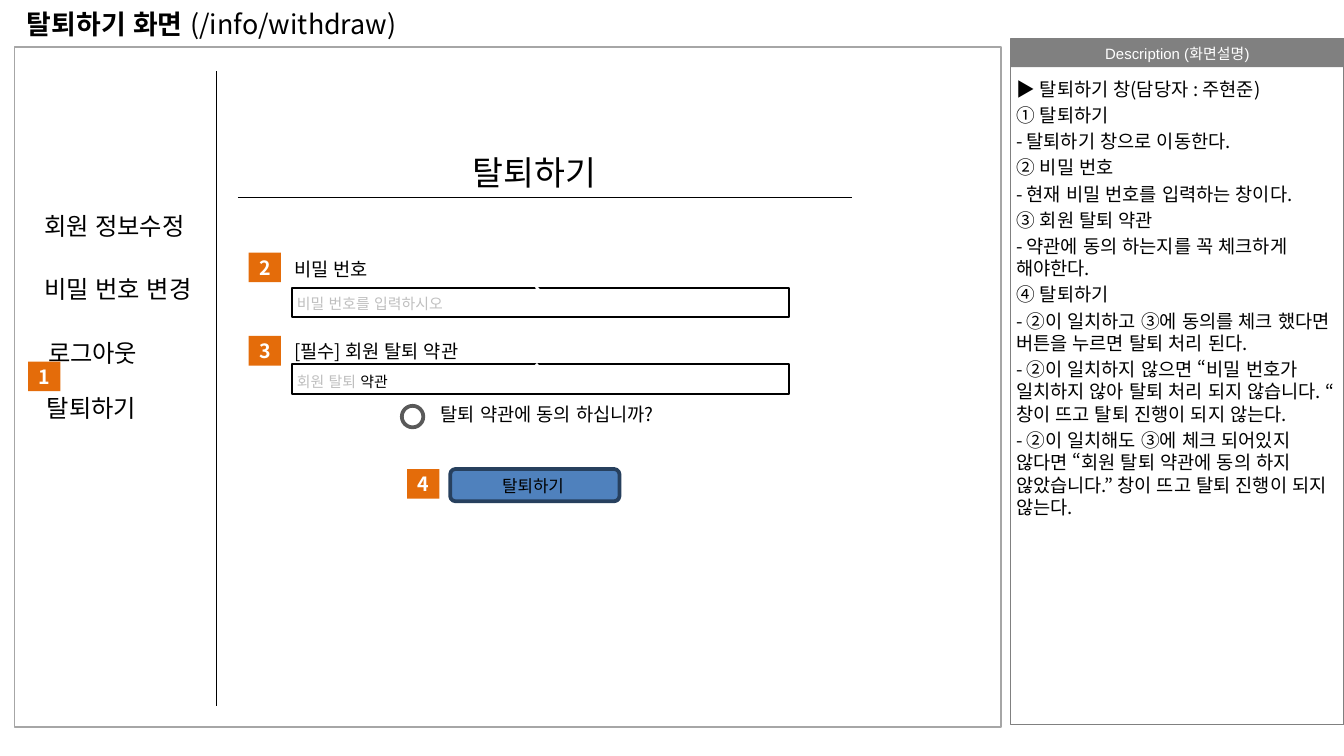
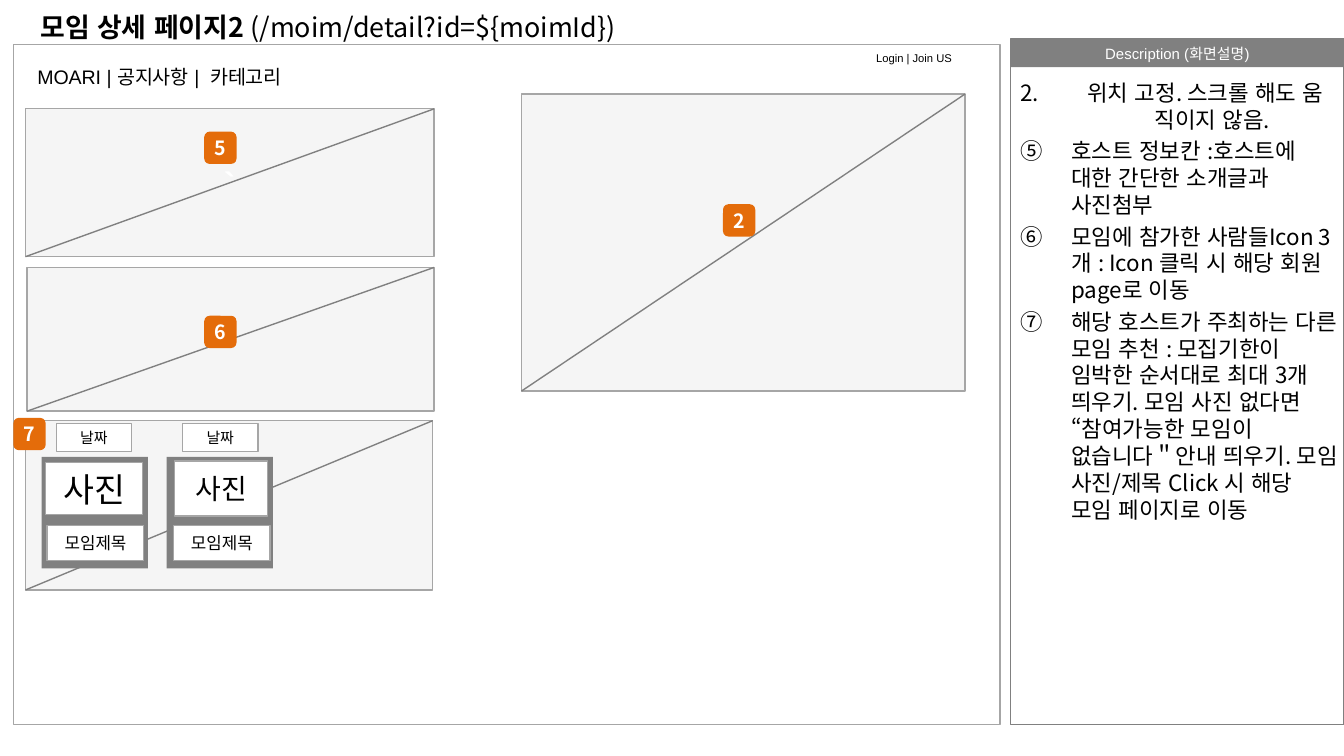
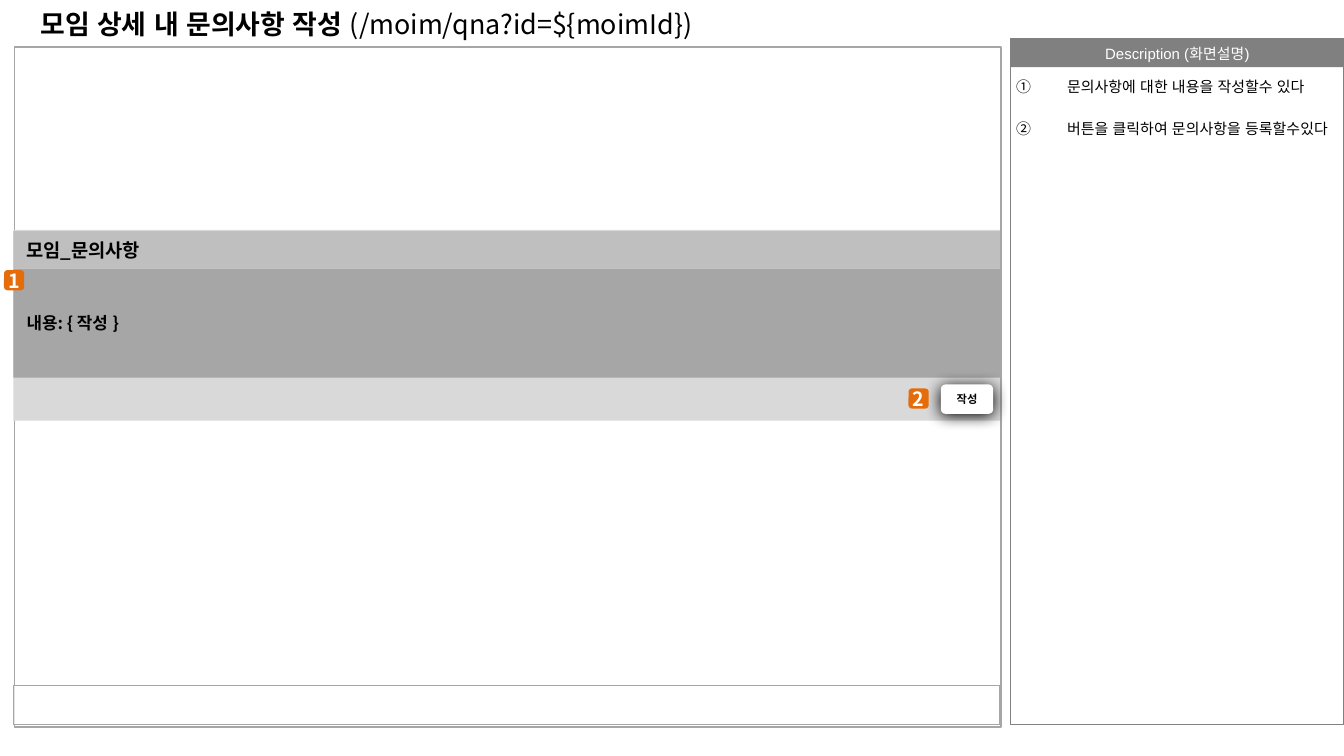
from dataclasses import dataclass

from lxml import etree
from pptx import Presentation
from pptx.dml.color import RGBColor
from pptx.enum import lang, shapes, text
from pptx.oxml.ns import qn
from pptx.util import Inches, Pt


@dataclass(frozen=True)
class Theme:
    font: str = "Noto Sans CJK KR"
    latin: str = "Arial"
    black: str = "000000"
    white: str = "FFFFFF"
    gray: str = "808080"
    border: str = "A6A6A6"
    silver: str = "BFBFBF"
    pale: str = "D9D9D9"
    panel: str = "F2F2F2"
    radio: str = "595959"
    badge: str = "E46C0A"
    button: str = "4F81BD"
    button_edge: str = "27405E"
    title: float = 14.4
    heading: float = 18
    photo: float = 15
    menu: float = 13
    note: float = 12
    badge_text: float = 10.5
    body: float = 10
    label: float = 9
    small: float = 8
    tiny: float = 6
    hairline: float = 0.75


THEME = Theme()
RECT = shapes.MSO_SHAPE.RECTANGLE
ROUND = shapes.MSO_SHAPE.ROUNDED_RECTANGLE
OVAL = shapes.MSO_SHAPE.OVAL
LEFT, CENTER = text.PP_ALIGN.LEFT, text.PP_ALIGN.CENTER
TOP, MIDDLE = text.MSO_ANCHOR.TOP, text.MSO_ANCHOR.MIDDLE
KOREAN = lang.MSO_LANGUAGE_ID.KOREAN
LINE_HEIGHT = 1.2
SLIDE_WIDTH = Inches(10)
SLIDE_HEIGHT = SLIDE_WIDTH * 9 // 16
FRAME_LEFT, FRAME_WIDTH, FRAME_HEIGHT = 0.1, 7.34, 5.06
DESCRIPTION_LEFT, DESCRIPTION_TOP, DESCRIPTION_WIDTH = 7.52, 0.29, 2.48


def rgb(color):
    return RGBColor.from_string(color)


def apply(target, **values):
    for name, value in values.items():
        setattr(target, name, value)


def inches(box):
    return [Inches(value) for value in box]


def child(parent, tag, **attributes):
    return etree.SubElement(parent, qn(tag), {key: str(value) for key, value in attributes.items()})


def add_run(paragraph, words, size, color=THEME.black, bold=False, font=THEME.font):
    run = paragraph.add_run()
    run.text = words
    apply(run.font, name=font, size=Pt(size), bold=bold, language_id=KOREAN)
    run.font.color.rgb = rgb(color)
    child(run._r.get_or_add_rPr(), "a:ea", typeface=THEME.font)


def set_frame(frame, anchor=TOP, insets=(0.1, 0.05, 0.1, 0.05)):
    sides = ("margin_left", "margin_top", "margin_right", "margin_bottom")
    apply(frame, word_wrap=True, auto_size=text.MSO_AUTO_SIZE.NONE, vertical_anchor=anchor,
          **dict(zip(sides, inches(insets))))


def set_spacing(paragraph, size, align=LEFT, before=0):
    apply(paragraph, alignment=align, line_spacing=Pt(size * LINE_HEIGHT), space_before=Pt(before))


def write(shape, words, size, align=CENTER, anchor=MIDDLE, insets=(0.1, 0.05, 0.1, 0.05), **style):
    set_frame(shape.text_frame, anchor, insets)
    paragraph = shape.text_frame.paragraphs[0]
    set_spacing(paragraph, size, align)
    add_run(paragraph, words, size, **style)


def add_box(parent, box, fill=None, line=None, width=THEME.hairline, kind=RECT, opacity=None):
    """Add a shape without shadow; opacity is a percentage of the fill."""
    shape = parent.shapes.add_shape(kind, *inches(box))
    shape.shadow.inherit = False
    if fill:
        shape.fill.solid()
        shape.fill.fore_color.rgb = rgb(fill)
        if opacity:
            color = shape._element.spPr.find(qn("a:solidFill"))[0]
            child(color, "a:alpha", val=opacity * 1000)
    else:
        shape.fill.background()
    if line:
        shape.line.color.rgb = rgb(line)
        shape.line.width = Pt(width)
    else:
        shape.line.fill.background()
    return shape


def add_line(parent, start, end, color=THEME.black, width=THEME.hairline):
    line = parent.shapes.add_connector(shapes.MSO_CONNECTOR.STRAIGHT, *inches(start + end))
    line.line.color.rgb = rgb(color)
    line.line.width = Pt(width)
    child(line._element.spPr, "a:effectLst")


def add_label(slide, box, words, size, align=LEFT, **style):
    label = slide.shapes.add_textbox(*inches(box))
    write(label, words, size, align, TOP, **style)
    return label


def add_badge(slide, left, top, number, width=0.24, height=0.24, corner=0.167):
    badge = add_box(slide, (left, top, width, height), THEME.badge, kind=ROUND)
    badge.adjustments[0] = corner
    write(badge, str(number), THEME.badge_text, insets=(0, 0.05, 0, 0.05),
          color=THEME.white, bold=True)


def add_input(slide, top):
    field = add_box(slide, (2.17, top, 3.7, 0.22), THEME.white, THEME.black, 1)
    write(field, "`", THEME.heading, color=THEME.white)


def add_picture_area(slide, left, top, width, height):
    """Group a pale panel with the diagonal that marks a picture area."""
    group = slide.shapes.add_group_shape()
    panel = add_box(group, (left, top, width, height), THEME.panel, THEME.border, opacity=70)
    write(panel, "`", THEME.heading, color=THEME.white, bold=True, font=THEME.latin)
    add_line(group, (left + width, top), (left, top + height), THEME.gray)


def add_tile(slide, box, words, size):
    write(add_box(slide, box, THEME.white, THEME.border), words, size)


def add_screen(presentation, title, address, title_box, frame_left, frame_top):
    """Start a slide with its title, wireframe border and description panel."""
    slide = presentation.slides.add_slide(presentation.slide_layouts[1])
    names = ("left", "top", "width", "height")
    heading = slide.shapes.title
    apply(heading, **dict(zip(names, inches(title_box))))
    write(heading, title + " ", THEME.title, LEFT, bold=True)
    add_run(heading.text_frame.paragraphs[0], address, THEME.title)
    add_box(slide, (frame_left, frame_top, FRAME_WIDTH, FRAME_HEIGHT),
            THEME.white, THEME.border, opacity=70)
    header = add_box(slide, (DESCRIPTION_LEFT, DESCRIPTION_TOP, DESCRIPTION_WIDTH, 0.21), THEME.gray)
    write(header, "Description (화면설명)", THEME.small, insets=(0.09, 0.04, 0.09, 0.04),
          color=THEME.white, font=THEME.latin)
    add_box(slide, (DESCRIPTION_LEFT, DESCRIPTION_TOP, DESCRIPTION_WIDTH, 5.1), line=THEME.gray)
    return slide


def describe(slide, box, items, size, start=None, before=None, lead=None):
    """Fill the body; start numbers the items, lead is a tabbed line above them."""
    body = slide.placeholders[1]
    apply(body, **dict(zip(("left", "top", "width", "height"), inches(box))))
    frame = body.text_frame
    set_frame(frame, insets=(0.04, 0.05, 0, 0.05))
    before = size * 0.2 if before is None else before
    lines = ([lead] if lead else []) + items
    for index, words in enumerate(lines):
        paragraph = frame.paragraphs[0] if index == 0 else frame.add_paragraph()
        set_spacing(paragraph, size, before=before if index else 0)
        properties = paragraph._p.get_or_add_pPr()
        is_lead = words is lead
        numbered = start is not None and not is_lead
        margin = 0.38 if numbered else 0
        properties.set("marL", str(Inches(margin)))
        properties.set("indent", str(-Inches(margin)))
        if numbered:
            child(properties, "a:buFont", typeface="+mj-ea")
            child(properties, "a:buAutoNum", type="circleNumDbPlain", startAt=start)
        else:
            child(properties, "a:buNone")
        if is_lead:
            tabs = child(properties, "a:tabLst")
            for position in (0.33, 0.97):
                child(tabs, "a:tab", pos=Inches(position), algn="l")
        for part, piece in enumerate(words.split("\n")):
            if part:
                paragraph.add_line_break()
            add_run(paragraph, piece, size)


def build_withdraw(presentation):
    slide = add_screen(presentation, "탈퇴하기 화면", "(/info/withdraw)",
                       (0.1, 0.02, 7.34, 0.32), 0.11, 0.35)
    describe(slide, (7.52, 0.53, 2.48, 4.88), [
        "▶ 탈퇴하기 창(담당자 : 주현준)",
        "① 탈퇴하기",
        "- 탈퇴하기 창으로 이동한다.",
        "② 비밀 번호",
        "- 현재 비밀 번호를 입력하는 창이다.",
        "③ 회원 탈퇴 약관",
        "- 약관에 동의 하는지를 꼭 체크하게 해야한다.",
        "④ 탈퇴하기",
        "- ②이 일치하고 ③에 동의를 체크 했다면 버튼을 누르면 탈퇴 처리 된다.",
        "- ②이 일치하지 않으면 “비밀 번호가 일치하지 않아 탈퇴 처리 되지 않습니다. “ "
        "창이 뜨고 탈퇴 진행이 되지 않는다.",
        "- ②이 일치해도 ③에 체크 되어있지 않다면 “회원 탈퇴 약관에 동의 하지 "
        "않았습니다.” 창이 뜨고 탈퇴 진행이 되지 않는다.",
    ], THEME.body)

    for left, top, width, words in (
            (0.23, 1.52, 1.38, "회원 정보수정"), (0.23, 1.99, 1.54, "비밀 번호 변경"),
            (0.26, 2.47, 0.95, "로그아웃"), (0.25, 2.88, 0.95, "탈퇴하기")):
        add_label(slide, (left, top, width, 0.32), words, THEME.menu)
    add_line(slide, (1.61, 0.53), (1.61, 5.25))

    heading = add_box(slide, (2.95, 1.08, 2.05, 0.4), THEME.white)
    write(heading, "탈퇴하기", THEME.heading, anchor=TOP)
    add_line(slide, (1.77, 1.47), (6.34, 1.47), width=1)

    for top, words in ((1.87, "비밀 번호"), (2.48, "[필수] 회원 탈퇴 약관")):
        add_label(slide, (2.09, top, 3.39, 0.27), words, THEME.body)
    for top in (2.14, 2.71):
        add_input(slide, top)
    add_label(slide, (2.11, 2.14, 1.69, 0.23), "비밀 번호를 입력하시오", THEME.small,
              color=THEME.silver)
    terms = add_label(slide, (2.11, 2.72, 2.55, 0.23), "회원 탈퇴 ", THEME.small,
                      color=THEME.silver)
    add_run(terms.text_frame.paragraphs[0], "약관", THEME.small)

    add_box(slide, (2.99, 3.02, 0.16, 0.16), THEME.white, THEME.radio, 2, OVAL)
    add_label(slide, (3.18, 2.95, 1.98, 0.26), "탈퇴 약관에 동의 하십니까?", THEME.body)
    add_box(slide, (3.35, 3.49, 1.26, 0.24), THEME.button, THEME.button_edge, 2, ROUND)
    add_label(slide, (3.59, 3.49, 0.75, 0.24), "탈퇴하기", THEME.label, CENTER)

    places = ((0.21, 2.69), (1.85, 1.88), (1.85, 2.5), (3.03, 3.49))
    for number, (left, top) in enumerate(places, 1):
        add_badge(slide, left, top, number, height=0.22, corner=0)


def build_detail(presentation):
    slide = add_screen(presentation, "모임 상세 페이지2", "(/moim/detail?id=${moimId})",
                       (0.2, 0.04, 5.91, 0.32), 0.1, 0.33)
    describe(slide, (7.55, 0.54, 2.41, 4.88), [
        "호스트 정보칸 :호스트에 대한 간단한 소개글과 사진첨부",
        "모임에 참가한 사람들Icon 3개 : Icon 클릭 시 해당 회원 page로 이동",
        "해당 호스트가 주최하는 다른 모임 추천 : 모집기한이 임박한 순서대로 최대 3개 "
        "띄우기. 모임 사진 없다면 “참여가능한 모임이 없습니다＂안내 띄우기. "
        "모임 사진/제목 Click 시 해당 모임 페이지로 이동",
    ], THEME.note, start=5, lead="2.\t위치 고정. 스크롤 해도 움\n\t\t직이지 않음.")

    add_label(slide, (6.42, 0.33, 0.85, 0.2), "Login | Join US", THEME.tiny, font=THEME.latin)
    add_label(slide, (0.18, 0.43, 2.3, 0.28), "MOARI | 공지사항 |  카테고리",
              THEME.badge_text, font=THEME.latin)

    for area in ((0.19, 0.81, 3.04, 1.1), (3.88, 0.7, 3.3, 2.21),
                 (0.2, 1.99, 3.03, 1.07), (0.19, 3.13, 3.03, 1.26)):
        add_picture_area(slide, *area)
    for number, left, top in ((2, 5.38, 1.52), (5, 1.52, 0.98), (6, 1.52, 2.35), (7, 0.1, 3.11)):
        add_badge(slide, left, top, number)

    photos = (((0.34, 3.44, 0.72, 0.39), THEME.heading), ((1.3, 3.43, 0.69, 0.41), THEME.photo))
    for column, (photo_box, photo_size) in enumerate(photos):
        shift = column * 0.94
        add_box(slide, (0.31 + column * 0.93, 3.4, 0.79, 0.83), THEME.gray)
        add_tile(slide, photo_box, "사진", photo_size)
        add_tile(slide, (0.35 + shift, 3.91, 0.72, 0.26), "모임제목", THEME.label)
        add_tile(slide, (0.42 + shift, 3.15, 0.56, 0.21), "날짜", THEME.small)


def build_question(presentation):
    slide = add_screen(presentation, "모임 상세 내 문의사항 작성", "(/moim/qna?id=${moimId})",
                       (0.2, 0.02, 7.24, 0.32), 0.11, 0.35)
    describe(slide, (7.52, 0.53, 2.48, 4.88), [
        "문의사항에 대한 내용을 작성할수 있다",
        "버튼을 클릭하여 문의사항을 등록할수있다",
    ], THEME.small, start=1, before=12.8)

    add_box(slide, (FRAME_LEFT, 5.1, FRAME_WIDTH, 0.29), THEME.white, THEME.border, opacity=70)
    add_box(slide, (FRAME_LEFT, 1.71, FRAME_WIDTH, 1.42), THEME.pale)
    for top, height, fill, words, size in (
            (1.72, 0.28, THEME.silver, "모임_문의사항", THEME.body),
            (2, 0.81, THEME.border, "내용: { 작성 }", THEME.label)):
        band = add_box(slide, (FRAME_LEFT, top, FRAME_WIDTH, height), fill)
        write(band, words, size, LEFT, bold=True)

    button = add_box(slide, (7, 2.86, 0.39, 0.22), THEME.white, kind=ROUND)
    effects = button._element.spPr.find(qn("a:effectLst"))
    shadow = child(effects, "a:outerShdw", blurRad=Pt(8.5), dist=Pt(1), dir=90 * 60000,
                   algn="ctr", rotWithShape=0)
    child(shadow, "a:srgbClr", val=THEME.black)
    write(button, "작성", THEME.tiny, bold=True, insets=(0, 0.05, 0, 0.05))

    for number, left, top in ((2, 6.76, 2.89), (1, 0.03, 2.01)):
        add_badge(slide, left, top, number, 0.15, 0.15)


def main():
    presentation = Presentation()
    apply(presentation, slide_width=SLIDE_WIDTH, slide_height=SLIDE_HEIGHT)
    for build in (build_withdraw, build_detail, build_question):
        build(presentation)
    presentation.save("out.pptx")


if __name__ == "__main__":
    main()
